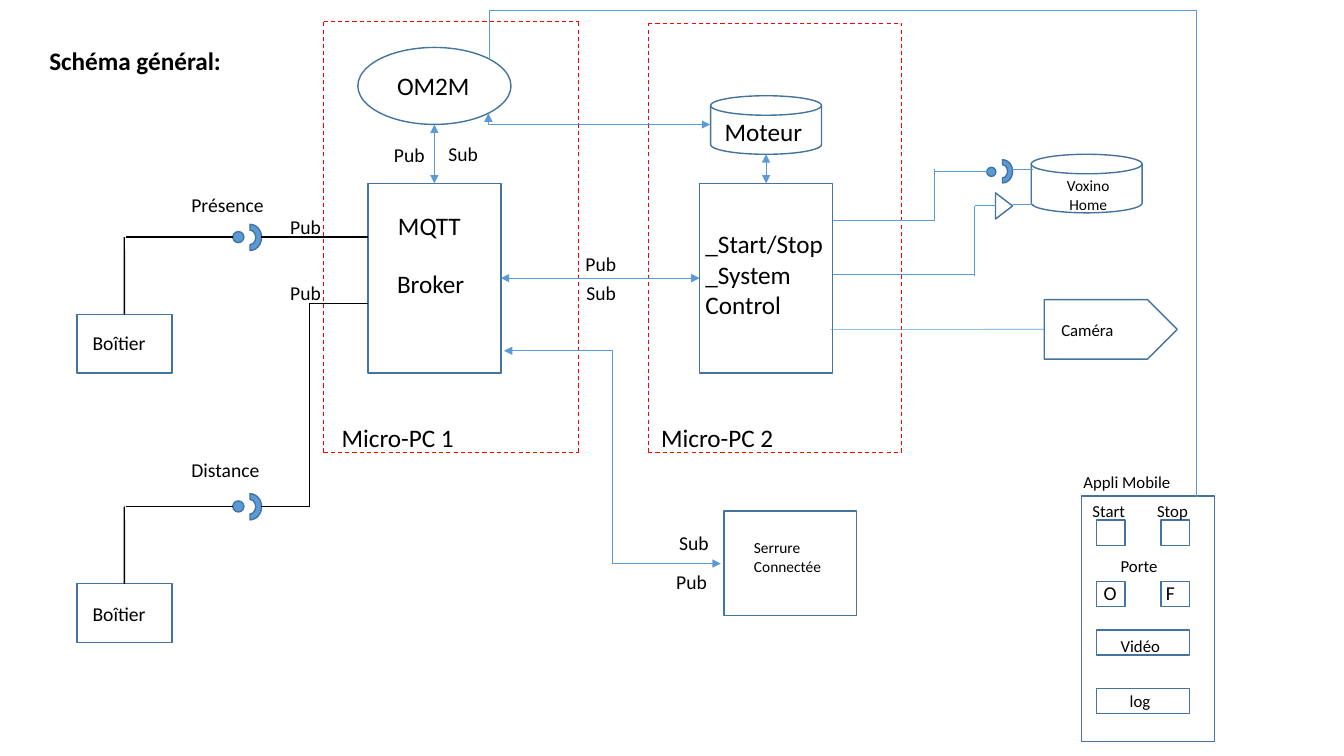
"""Build the general architecture diagram of a connected home system."""
from dataclasses import dataclass

from lxml import etree
from pptx import Presentation
from pptx.dml.color import RGBColor
from pptx.enum import dml, shapes, text
from pptx.oxml.ns import qn
from pptx.util import Pt


@dataclass(frozen=True)
class Theme:
    """Colours, font and type sizes."""
    font: str = "Calibri"
    ink: RGBColor = RGBColor(0, 0, 0)
    paper: RGBColor = RGBColor(255, 255, 255)
    accent: RGBColor = RGBColor(0x5B, 0x9B, 0xD5)
    outline: RGBColor = RGBColor(0x43, 0x73, 0x9E)
    frame: RGBColor = RGBColor(255, 0, 0)
    large: int = 18
    medium: int = 14
    small: int = 12
    tiny: int = 11


theme = Theme()
deck = Presentation()
deck.slide_width, deck.slide_height = Pt(960), Pt(540)
page = deck.slides.add_slide(deck.slide_layouts[5])
kind = shapes.MSO_SHAPE


def write(content, left, top, width, height, size=theme.medium, bold=False,
          align=text.PP_ALIGN.LEFT, box=None):
    """Write text in a new text box or in the given placeholder."""
    box = box or page.shapes.add_textbox(0, 0, 0, 0)
    box.left, box.top, box.width, box.height = Pt(left), Pt(top), Pt(width), Pt(height)
    frame = box.text_frame
    frame.word_wrap = True
    frame.auto_size = text.MSO_AUTO_SIZE.SHAPE_TO_FIT_TEXT
    frame.vertical_anchor = text.MSO_ANCHOR.TOP
    frame.text = content
    for para in frame.paragraphs:
        para.alignment = align
        para.line_spacing = 1.0
        for span in para.runs:
            span.font.name, span.font.size = theme.font, Pt(size)
            span.font.bold, span.font.color.rgb = bold, theme.ink


def link(x1, y1, x2, y2, color=theme.accent, weight=0.5, arrows=False, dashed=False,
         route=shapes.MSO_CONNECTOR.STRAIGHT):
    """Draw a connector, with arrowheads at both ends if asked."""
    line = page.shapes.add_connector(route, Pt(x1), Pt(y1), Pt(x2), Pt(y2))
    line.line.color.rgb, line.line.width = color, Pt(weight)
    if dashed:
        line.line.dash_style = dml.MSO_LINE.DASH
    if arrows:
        for end in ("a:headEnd", "a:tailEnd"):
            etree.SubElement(line.line._get_or_add_ln(), qn(end), type="triangle")
    etree.SubElement(line._element.spPr, qn("a:effectLst"))
    return line


write("Schéma général:", 28, 28.8, 147, 28.8, size=theme.large, bold=True,
      box=page.shapes.title)

white, blue = theme.paper, theme.accent
parts = {
    "presence board": (kind.RECTANGLE, 54.9, 224.6, 67.9, 42, white, 0),
    "presence socket": (kind.BLOCK_ARC, 169.2, 161.3, 18.7, 16.6, blue, 90),
    "presence sensor": (kind.FLOWCHART_CONNECTOR, 166.3, 165.4, 7.9, 7.9, blue, 0),
    "distance board": (kind.RECTANGLE, 54.9, 417, 67.9, 42, white, 0),
    "distance socket": (kind.BLOCK_ARC, 169.2, 353.7, 18.7, 16.6, blue, 90),
    "distance sensor": (kind.FLOWCHART_CONNECTOR, 166.3, 357.8, 7.9, 7.9, blue, 0),
    "broker": (kind.RECTANGLE, 262.8, 131, 95, 135.4, white, 0),
    "om2m": (kind.OVAL, 255.6, 33.9, 109.4, 55, white, 0),
    "control": (kind.RECTANGLE, 499.7, 131, 95, 135.4, white, 0),
    "engine": (kind.FLOWCHART_MAGNETIC_DISK, 507.6, 68.4, 79.2, 41.8, white, 0),
    "assistant": (kind.FLOWCHART_MAGNETIC_DISK, 736.6, 110.2, 79.2, 41.8, white, 0),
    "camera": (kind.PENTAGON, 745.9, 214, 95, 42.5, white, 0),
    "speaker": (kind.ISOSCELES_TRIANGLE, 707.8, 141, 18.7, 12.2, white, 90),
    "voice socket": (kind.BLOCK_ARC, 707.8, 115.2, 16.6, 14.4, blue, 90),
    "voice sensor": (kind.FLOWCHART_CONNECTOR, 704.9, 119.5, 6.5, 6.5, blue, 0),
    "lock": (kind.RECTANGLE, 517, 365, 95, 74.9, white, 0),
    "app": (kind.RECTANGLE, 772.6, 354.2, 95, 175.7, white, 0),
    "start": (kind.RECTANGLE, 783.4, 371.5, 20.2, 18, white, 0),
    "stop": (kind.RECTANGLE, 829.4, 371.5, 20.2, 18, white, 0),
    "open": (kind.RECTANGLE, 783.4, 415.4, 20.2, 18, white, 0),
    "close": (kind.RECTANGLE, 829.4, 415.4, 20.2, 18, white, 0),
    "video": (kind.RECTANGLE, 783.4, 450, 66.2, 18, white, 0),
    "log": (kind.RECTANGLE, 783.4, 491.8, 66.2, 18, white, 0),
}
blocks = {}
for name, (preset, left, top, width, height, fill, angle) in parts.items():
    block = page.shapes.add_shape(preset, Pt(left), Pt(top), Pt(width), Pt(height))
    block.fill.solid()
    block.fill.fore_color.rgb = fill
    block.line.color.rgb, block.line.width = theme.outline, Pt(1)
    block.shadow.inherit = False
    block.rotation = angle
    blocks[name] = block

for left, right, top in ((231.1, 413.3, 15.7), (463, 643.9, 16.6)):
    bottom = 323.3
    for ends in ((left, bottom, right, bottom), (left, top, right, top),
                 (left, bottom, left, top), (right, bottom, right, top)):
        link(*ends, color=theme.frame, weight=0.75, dashed=True)

for sensor, level, reach in (("presence", 169.4, 262.8), ("distance", 361.8, 221)):
    riser = link(88.8, level + 55.2, 88.8, level, color=theme.ink, weight=1)
    riser.begin_connect(blocks[f"{sensor} board"], 0)
    link(166.3, level, 90, level, color=theme.ink, weight=1)
    link(reach, level, 186.5, level, color=theme.ink, weight=1)
for ends in ((221, 361.8, 221, 216.7), (262.8, 216.7, 221, 216.7)):
    link(*ends, color=theme.ink, weight=1)

for ends in ((594.7, 196.2, 696.2, 196.2), (696.2, 197.3, 696.2, 146.9),
             (696.2, 146.9, 711.4, 146.9), (723.6, 145.8, 738.7, 145.8),
             (594.7, 157.7, 667.4, 157.7), (667.4, 157.7, 667.4, 121),
             (667.4, 122.4, 707.8, 122.4), (722.9, 121.2, 738, 121.2)):
    link(*ends)
link(593.3, 235.3, 745.9, 235.3).end_connect(blocks["camera"], 1)

link(310.3, 89, 310.3, 131, arrows=True).end_connect(blocks["broker"], 0)
link(547.2, 110.2, 547.2, 131, arrows=True).end_connect(blocks["control"], 0)
exchange = link(357.8, 198.7, 499.7, 198.7, arrows=True)
exchange.begin_connect(blocks["broker"], 3)
exchange.end_connect(blocks["control"], 1)

elbow = shapes.MSO_CONNECTOR.ELBOW
link(360, 250.6, 514.8, 402.5, arrows=True, route=elbow)
for ends, arrows, preset, bends in (
        ((446.4, -54.7, 758.2, 451.4), False, "bentConnector4", (-11200, 99900)),
        ((424.1, 5.8, 432, 164.2), True, "bentConnector2", ())):
    properties = link(*ends, arrows=arrows, route=elbow)._element.spPr
    properties.xfrm.set("rot", "16200000")
    properties.xfrm.set("flipH", "1")
    geometry = properties.find(qn("a:prstGeom"))
    geometry.set("prst", preset)
    for number, bend in enumerate(bends, 1):
        etree.SubElement(geometry.find(qn("a:avLst")), qn("a:gd"),
                         name=f"adj{number}", fmla=f"val {bend}")

labels = {
    theme.large: (
        ("OM2M", 276.5, 46.8, 68.4), ("MQTT", 277.2, 146.9, 65.5),
        ("Broker", 276.5, 187.9, 68.4), ("Moteur", 510.5, 79.2, 71.3),
        ("Micro-PC 1", 236.9, 298.1, 176.4), ("Micro-PC 2", 465.1, 298.1, 176.4),
        ("_Start/Stop\n_System Control", 496.8, 159.8, 100.1)),
    theme.medium: (
        ("Présence", 129.6, 133.9, 92.9), ("Distance", 129.6, 323.3, 92.9),
        ("Boîtier", 59, 232.6, 78.5), ("Boîtier", 59, 426.2, 78.5),
        ("Pub", 200.2, 149.8, 52.6), ("Pub", 200.2, 197.3, 52.6),
        ("Pub", 274.3, 98.6, 52.6), ("Sub", 313.2, 97.9, 52.6),
        ("Pub", 411.1, 176.4, 52.6), ("Sub", 411.8, 197.3, 52.6),
        ("Sub", 478.1, 375.8, 52.6), ("Pub", 475.9, 403.2, 52.6),
        ("O", 781.2, 411.1, 26.6), ("F", 825.8, 411.1, 26.6)),
    theme.small: (
        ("Caméra", 751, 224.6, 64.8), ("Appli Mobile", 766.8, 333.4, 105.1),
        ("Start", 773.3, 354.2, 44), ("Stop", 819.4, 354.2, 44),
        ("Porte", 793.4, 393.1, 52.6), ("Vidéo", 793.4, 450.7, 52.6),
        ("log", 799.9, 489.6, 52.6)),
    theme.tiny: (("Serrure\nConnectée", 531.4, 380.9, 66.2),),
}
for size, group in labels.items():
    for content, left, top, width in group:
        lines = content.count("\n") + 1
        write(content, left, top, width, 7.2 + lines * size * 1.2, size=size)
write("Voxino\nHome", 751, 122.4, 52.6, 33.8, size=theme.tiny, align=text.PP_ALIGN.CENTER)

deck.save("out.pptx")
